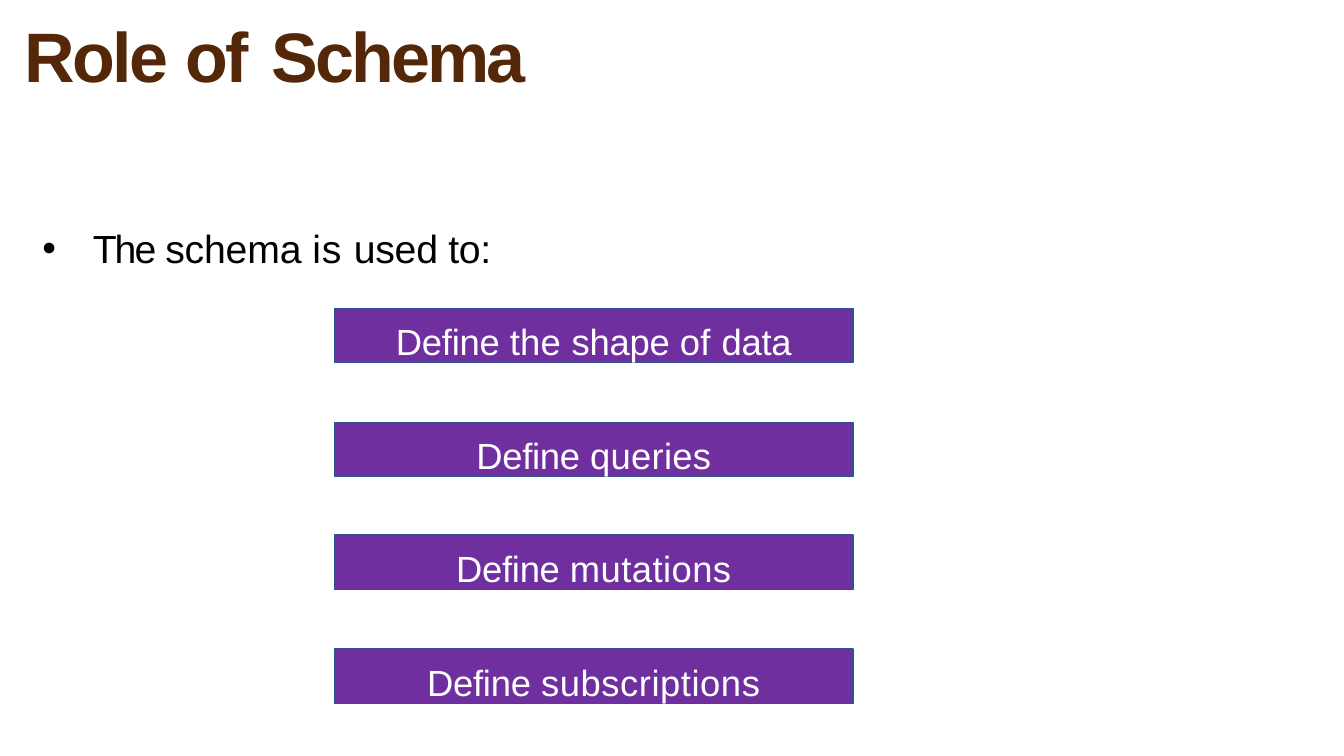
import pptx
import pptx.util
import pptx.dml.color
import pptx.enum.shapes
import pptx.enum.text
from lxml import etree

COLORS = {
    "title": "532708",
    "body": "000000",
    "bar": "6F2F9F",
    "bar line": "2E528F",
    "bar text": "FFFFFF",
}
PX = 9144  # 100 px to the inch
ALIGN = pptx.enum.text.PP_ALIGN


def px(*lengths):
    return [pptx.util.Emu(length * PX) for length in lengths]


def color(name):
    return pptx.dml.color.RGBColor.from_string(COLORS[name])


def write(frame, runs, size, fill, bold=False, align=ALIGN.LEFT, top=1, bullet=None):
    """Fill a text frame with one paragraph of (text, letter spacing in points) runs."""
    frame.word_wrap = True
    frame.auto_size = pptx.enum.text.MSO_AUTO_SIZE.NONE
    frame.vertical_anchor = pptx.enum.text.MSO_ANCHOR.TOP
    frame.margin_left, frame.margin_top, frame.margin_right, frame.margin_bottom = px(0, top, 0, 0)
    paragraph = frame.paragraphs[0]
    paragraph.alignment = align
    paragraph.line_spacing = 1.0
    paragraph.space_before = pptx.util.Pt(0)
    if bullet:
        hanging = px(50)[0]
        properties = paragraph._p.get_or_add_pPr()
        properties.set("marL", str(hanging))
        properties.set("indent", str(-hanging))
        for tag, name, value in (("a:buFont", "typeface", "Arial"), ("a:buChar", "char", bullet)):
            etree.SubElement(properties, pptx.oxml.ns.qn(tag)).set(name, value)
    paragraph.font.name = "Arial"
    paragraph.font.size = pptx.util.Pt(size)
    for text, spacing in runs:
        run = paragraph.add_run()
        run.text = text
        run.font.name = "Arial"
        run.font.size = pptx.util.Pt(size)
        run.font.bold = bold
        run.font.color.rgb = color(fill)
        run.font._element.set("spc", str(round(spacing * 100)))


class SchemaSlide:
    def __init__(self, deck):
        self.slide = deck.slides.add_slide(deck.slide_layouts[5])

    def title(self, runs, left, top, width, height):
        heading = self.slide.shapes.title
        heading.left, heading.top, heading.width, heading.height = px(left, top, width, height)
        write(heading.text_frame, runs, size=50, fill="title", bold=True)

    def bullet(self, runs, left, top, width, height):
        lead = self.slide.shapes.add_textbox(*px(left, top, width, height))
        write(lead.text_frame, runs, size=28, fill="body", bullet="•")

    def bar(self, runs, left, top, width, height):
        bar = self.slide.shapes.add_shape(
            pptx.enum.shapes.MSO_SHAPE.RECTANGLE, *px(left, top, width, height))
        bar.shadow.inherit = False
        bar.fill.solid()
        bar.fill.fore_color.rgb = color("bar")
        bar.line.color.rgb = color("bar line")
        bar.line.width = pptx.util.Pt(1)
        write(bar.text_frame, runs, size=26, fill="bar text", align=ALIGN.CENTER, top=11)


def main():
    deck = pptx.Presentation()
    deck.slide_width, deck.slide_height = px(1333, 750)
    page = SchemaSlide(deck)
    page.title([("Role ", -1.8), ("of", -2), (" ", 2.2), ("Schema", -2)], 24, 11, 665, 168)
    page.bullet([("The ", -1.4), ("schema ", -0.1), ("is ", 0.6), ("used to:", -0.2)],
                42, 222, 448, 95)
    purposes = [
        [("the ", 0.2), ("shape ", -0.2), ("of ", 0.3), ("data", -0.2)],
        [("queries", 0.2)],
        [("mutations", 0.3)],
        [("subscriptions", 0.4)],
    ]
    first_top, pitch = 306, 112.67
    for row, purpose in enumerate(purposes):
        page.bar([("Define ", -0.2), *purpose], 332, round(first_top + row * pitch), 514, 54)
    deck.save("out.pptx")


if __name__ == "__main__":
    main()
